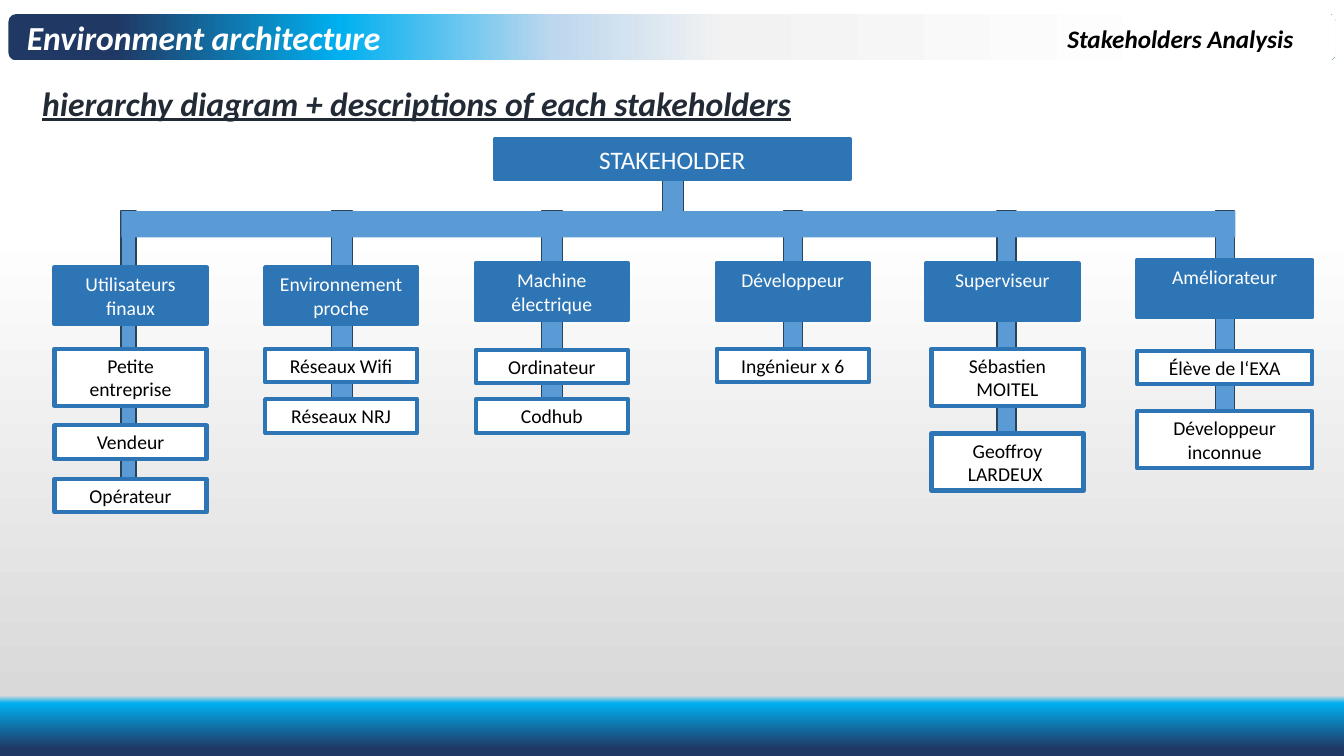
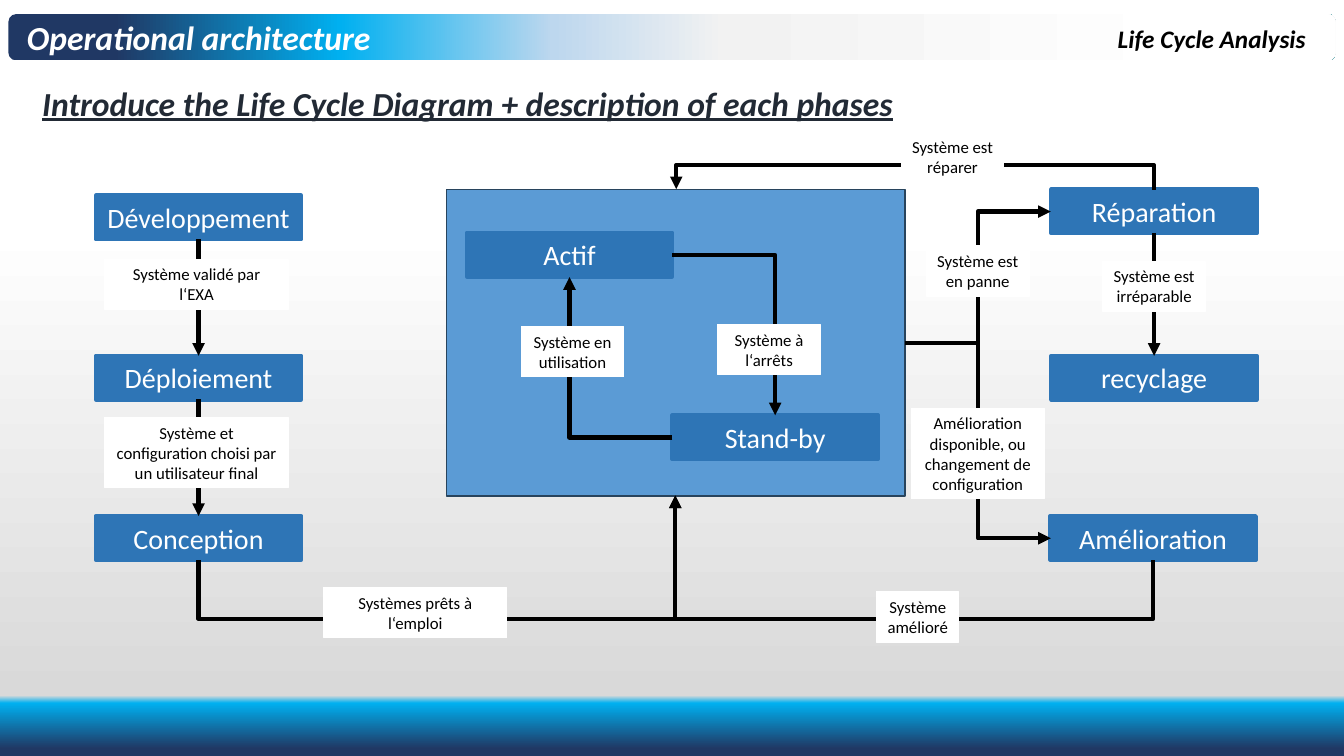
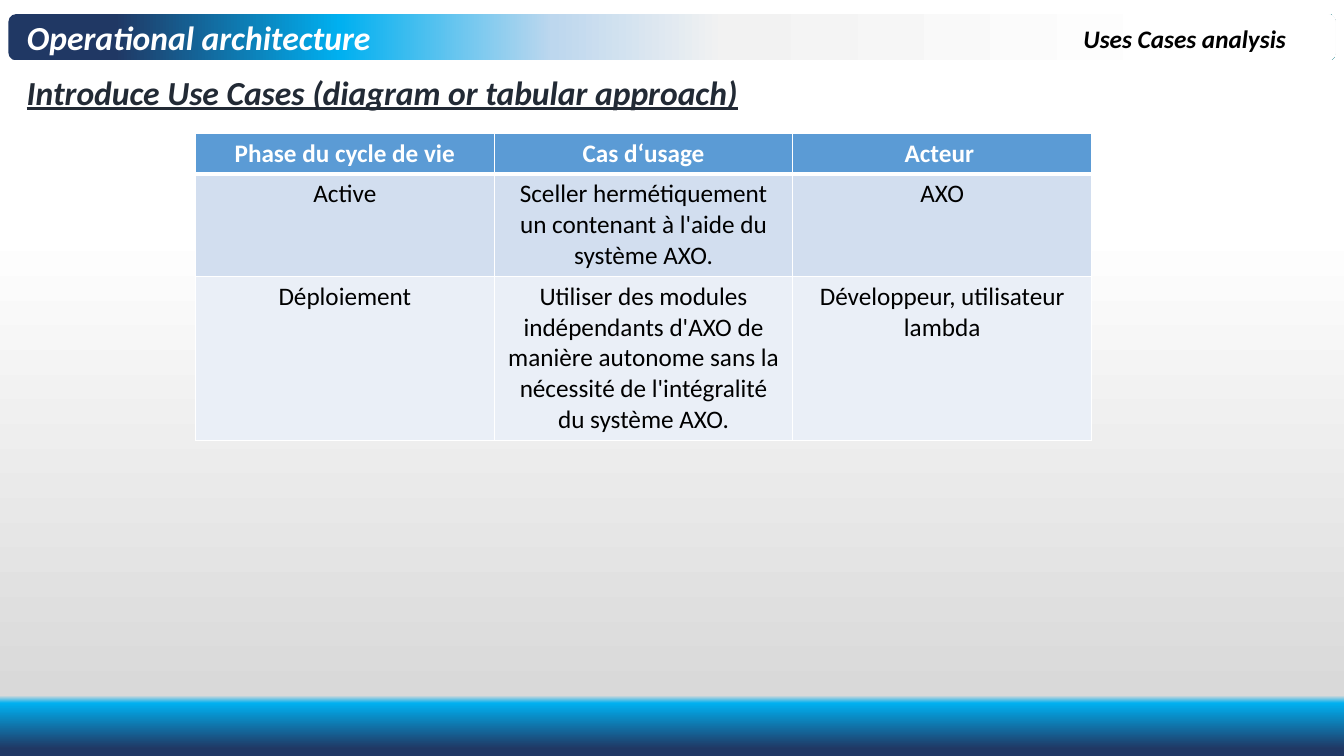
from lxml import etree
from pptx import Presentation
from pptx import util as u
from pptx.dml.color import RGBColor
from pptx.enum import shapes, text
from pptx.oxml.ns import qn

COLORS = {
    "white": "FFFFFF", "black": "000000", "ink": "222A35", "edge": "28445D",
    "box": "2E75B6", "panel": "5B9BD5", "row1": "D2DEEF", "row2": "EAEFF7",
    "sky": "00B0F0", "navy": "203864", "pale": "BDD7EE", "mist": "F2F2F2",
    "grey": "D9D9D9",
}
FONT = "Calibri"
COLS, ROWS, CELL = 80, 45, 152400  # grid of square cells, EMU per cell


def rgb(name):
    return RGBColor.from_string(COLORS[name])


def grid(*lengths):
    return [u.Emu(round(v * CELL)) for v in lengths]


def box_height(size, lines=1):
    return 0.6 + size / 10 * lines


def gradient(fill, element, stops, angle):
    """Give a fill any number of stops: (percent, colour name)."""
    fill.gradient()
    fill.gradient_angle = angle
    gs_list = next(element.iter(qn("a:gsLst")))
    for gs in list(gs_list):
        gs_list.remove(gs)
    for pos, name in stops:
        gs = etree.SubElement(gs_list, qn("a:gs"), pos=str(pos * 1000))
        etree.SubElement(gs, qn("a:srgbClr"), val=COLORS[name])


class Deck:
    def __init__(self):
        self.prs = Presentation()
        self.prs.slide_width, self.prs.slide_height = grid(COLS, ROWS)
        master = self.prs.slide_master
        gradient(master.background.fill, master.element,
                 [(30, "white"), (92, "grey"), (93, "sky"), (99, "navy")], 270)
        self.s = None

    # Slide frame: band, title, topic on the right, underlined heading
    def slide(self, title, topic, topic_x, heading, heading_at):
        self.s = self.prs.slides.add_slide(self.prs.slide_layouts[5])
        band = self.shape(0.5, 0.84, 79, 2.76, None, kind="ROUNDED_RECTANGLE")
        gradient(band.fill, band.element,
                 [(8, "navy"), (25, "sky"), (41, "pale"), (54, "mist"),
                  (89, "white")], 0)
        sp = self.s.shapes.title
        self.s.shapes.element.append(sp.element)  # bring in front of the band
        sp.left, sp.top, sp.width, sp.height = grid(1, 0.72, 44.6, 3)
        style = dict(bold=True, italic=True, align="LEFT")
        self.put_text(sp.text_frame, title, 24, "white", **style)
        self.text_box(topic_x, 1.08, COLS - 1 - topic_x, 2.4, topic, 18,
                      "black", **style)
        self.text_box(*heading_at, 72, 3, heading, 24, "ink", underline=True,
                      **style)

    def put_text(self, tf, words, size, color, align="CENTER", **font):
        tf.word_wrap = True
        tf.auto_size = text.MSO_AUTO_SIZE.NONE
        tf.vertical_anchor = text.MSO_ANCHOR.TOP
        for i, line in enumerate(words.split("\n")):
            p = tf.add_paragraph() if i else tf.paragraphs[0]
            p.alignment = getattr(text.PP_ALIGN, align)
            r = p.add_run()
            r.text = line
            r.font.name, r.font.size = FONT, u.Pt(size)
            r.font.color.rgb = rgb(color)
            for key, value in font.items():
                setattr(r.font, key, value)

    def text_box(self, x, y, w, h, words, size, color, **style):
        sp = self.s.shapes.add_textbox(*grid(x, y, w, h))
        self.put_text(sp.text_frame, words, size, color, **style)

    def shape(self, x, y, w, h, fill, line=None, width=1, kind="RECTANGLE"):
        sp = self.s.shapes.add_shape(getattr(shapes.MSO_SHAPE, kind),
                                     *grid(x, y, w, h))
        sp.shadow.inherit = False
        if fill:
            sp.fill.solid()
            sp.fill.fore_color.rgb = rgb(fill)
        if line:
            sp.line.color.rgb = rgb(line)
            sp.line.width = u.Pt(width)
        else:
            sp.line.fill.background()
        return sp

    # Boxes with text; the height follows from text size and line count
    def box(self, x, y, w, words, size, lines=1, fill="box", line="box",
            color="white", width=3):
        sp = self.shape(x, y, w, box_height(size, lines), fill, line, width)
        self.put_text(sp.text_frame, words, size, color)
        return sp

    def label(self, x, y, w, words, lines=2):
        return self.box(x, y, w, words, 12, lines, "white", "white", "black",
                        0.75)

    # Arrows
    def connector(self, kind, x1, y1, x2, y2):
        c = self.s.shapes.add_connector(
            getattr(shapes.MSO_CONNECTOR, kind), *grid(x1, y1, x2, y2))
        c.line.color.rgb = rgb("black")
        c.line.width = u.Pt(3)
        sp_pr = c.element.spPr
        etree.SubElement(sp_pr.find(qn("a:ln")), qn("a:tailEnd"),
                         type="triangle")
        etree.SubElement(sp_pr, qn("a:effectLst"))
        return c

    def join_down(self, upper, lower):
        c = self.connector("STRAIGHT", 0, 0, 1, 1)
        c.begin_connect(upper, 2)
        c.end_connect(lower, 0)

    def corner(self, x1, y1, x2, y2):
        """Sideways first, then up or down."""
        c = self.connector("ELBOW", x1, y1, x2, y2)
        c.element.spPr.find(qn("a:prstGeom")).set("prst", "bentConnector2")

    def elbow(self, x1, y1, x2, y2):
        """Sideways, turning halfway."""
        self.connector("ELBOW", x1, y1, x2, y2)

    def detour(self, x1, y1, x2, y2, turn_y):
        """Leave vertically, run along turn_y, arrive vertically."""
        c = self.connector("ELBOW", x1, y1, x2, y2)
        w, h = abs(y2 - y1), abs(x2 - x1)
        c.left, c.top, c.width, c.height = grid(
            (x1 + x2 - w) / 2, (y1 + y2 - h) / 2, w, h)
        xfrm = c.element.spPr.find(qn("a:xfrm"))
        xfrm.set("rot", "5400000")
        xfrm.set("flipH", str(int(y2 < y1)))
        xfrm.set("flipV", str(int(x2 > x1)))
        geom = c.element.spPr.find(qn("a:prstGeom"))
        share = round((turn_y - y1) / (y2 - y1) * 100000)
        etree.SubElement(geom.find(qn("a:avLst")), qn("a:gd"), name="adj1",
                         fmla=f"val {share}")

    # Table with white rules, thicker below the header
    def table(self, x, y, widths, heights, rows, fills):
        t = self.s.shapes.add_table(
            len(rows), len(widths),
            *grid(x, y, sum(widths), sum(heights))).table
        for col, w in zip(t.columns, grid(*widths)):
            col.width = w
        for row, h in zip(t.rows, grid(*heights)):
            row.height = h
        for i, row in enumerate(rows):
            for j, words in enumerate(row):
                cell = t.cell(i, j)
                self.put_text(cell.text_frame, words, 18,
                              "black" if i else "white", bold=i == 0)
                tc_pr = cell._tc.get_or_add_tcPr()
                for side in "LRTB":
                    thick = (i, side) in ((0, "B"), (1, "T"))
                    ln = etree.SubElement(tc_pr, qn("a:ln" + side),
                                          w=str(int(u.Pt(3 if thick else 1))))
                    fill = etree.SubElement(ln, qn("a:solidFill"))
                    etree.SubElement(fill, qn("a:srgbClr"),
                                     val=COLORS["white"])
                cell.fill.solid()
                cell.fill.fore_color.rgb = rgb(fills[i])


def stakeholders(d):
    d.slide("Environment architecture", "Stakeholders Analysis", 62.94,
            "hierarchy diagram + descriptions of each stakeholders",
            (1.92, 4.62))
    # Branches: head, its place and width, stem place and width,
    # then the place of the items and each item with its top and line count
    branches = [
        ("Utilisateurs finaux", 3.24, 15.9, 9.06, 7.2, 0.9, 3.24,
         [("Petite entreprise", 20.76, 2), ("Vendeur", 25.32, 1),
          ("Opérateur", 28.5, 1)]),
        ("Environnement\nproche", 15.78, 15.9, 9.06, 19.74, 1.26, 15.78,
         [("Réseaux Wifi", 20.76, 1), ("Réseaux NRJ", 23.76, 1)]),
        ("Machine\nélectrique", 28.32, 15.66, 9.06, 32.22, 1.26, 28.32,
         [("Ordinateur", 20.82, 1), ("Codhub", 23.76, 1)]),
        ("Développeur", 42.66, 15.66, 9.06, 46.62, 1.14, 42.66,
         [("Ingénieur x 6", 20.76, 1)]),
        ("Superviseur", 55.14, 15.66, 9.06, 59.34, 1.14, 55.44,
         [("Sébastien MOITEL", 20.76, 2), ("Geoffroy LARDEUX ", 25.8, 2)]),
        ("Améliorateur", 67.68, 15.48, 10.44, 72.36, 1.14, 67.68,
         [("Élève de l‘EXA", 20.88, 1), ("Développeur inconnue", 24.48, 2)]),
    ]
    # Trunk, stems and crossbar
    d.shape(39.42, 9.6, 1.26, 3.6, "panel", "edge")
    bar_y = 12.57
    for *_, stem_x, stem_w, _, items in branches:
        d.shape(stem_x, bar_y, stem_w, items[-1][1] + 1 - bar_y, "panel",
                "edge")
    d.shape(7.23, bar_y, 66.3, 1.56, "panel")
    # Boxes
    d.box(29.46, 8.28, 21.12, "STAKEHOLDER", 18)
    for head, x, y, w, _, _, item_x, items in branches:
        d.box(x, y, w, head, 14, 2)
        for words, item_y, lines in items:
            d.box(item_x, item_y, w, words, 14, lines, "white", color="black")


def life_cycle(d):
    d.slide("Operational architecture", "Life Cycle Analysis", 65.94,
            "Introduce the Life Cycle Diagram + description of each phases",
            (1.92, 4.62))
    d.shape(26.58, 11.28, 27.3, 18.24, "panel", "edge")
    # Phases
    phases = {
        words: d.box(x, y, 12.24, words, 20) for words, x, y in [
            ("Développement", 5.7, 11.64), ("Déploiement", 5.7, 21.18),
            ("Conception", 5.7, 30.72), ("Actif", 27.78, 13.86),
            ("Stand-by", 40.02, 24.72), ("Réparation", 62.58, 11.28),
            ("recyclage", 62.58, 21.18), ("Amélioration", 62.52, 30.72)]}
    # Transitions
    for upper, lower in [("Développement", "Déploiement"),
                         ("Déploiement", "Conception"),
                         ("Réparation", "recyclage")]:
        d.join_down(phases[upper], phases[lower])
    d.corner(40.02, 26.04, 33.9, 16.5)
    d.corner(40.02, 15.18, 46.14, 24.72)
    for y in (12.6, 32.04):
        d.elbow(53.88, 20.4, 62.55, y)
    for x in (11.82, 68.64):
        d.detour(x, 33.36, 40.2, 29.5, 36.84)
    d.detour(68.7, 11.3, 40.26, 11.26, 9.84)
    # Conditions
    for condition in [
            (6.24, 15.42, 10.92, "Système validé par l‘EXA"),
            (6.24, 24.84, 10.92,
             "Système et configuration choisi par un utilisateur final", 3),
            (19.26, 34.98, 10.92, "Systèmes prêts à l‘emploi"),
            (54.24, 24.3, 7.92,
             "Amélioration disponible, ou changement de configuration", 4),
            (52.2, 35.22, 4.86, "Système amélioré"),
            (31.02, 19.44, 6.12, "Système en utilisation"),
            (42.72, 19.32, 6.12, "Système à l‘arrêts"),
            (55.14, 14.64, 6.12, "Système est en panne"),
            (65.64, 15.54, 6.12, "Système est irréparable"),
            (53.64, 7.86, 6.12, "Système est réparer")]:
        d.label(*condition)


def use_cases(d):
    d.slide("Operational architecture", "Uses Cases analysis", 63.9,
            "Introduce Use Cases (diagram or tabular approach)", (1, 3.96))
    d.table(11.64, 7.92, [17.78] * 3, [2.4, 6, 9.6], [
        ("Phase du cycle de vie", "Cas d‘usage", "Acteur "),
        ("Active", "Sceller hermétiquement un contenant à l'aide du "
         "système AXO.", "AXO"),
        ("Déploiement", "Utiliser des modules indépendants d'AXO de manière "
         "autonome sans la nécessité de l'intégralité du système AXO.",
         "Développeur, utilisateur lambda"),
    ], ["panel", "row1", "row2"])


def main():
    d = Deck()
    for build in (stakeholders, life_cycle, use_cases):
        build(d)
    d.prs.save("out.pptx")


if __name__ == "__main__":
    main()
